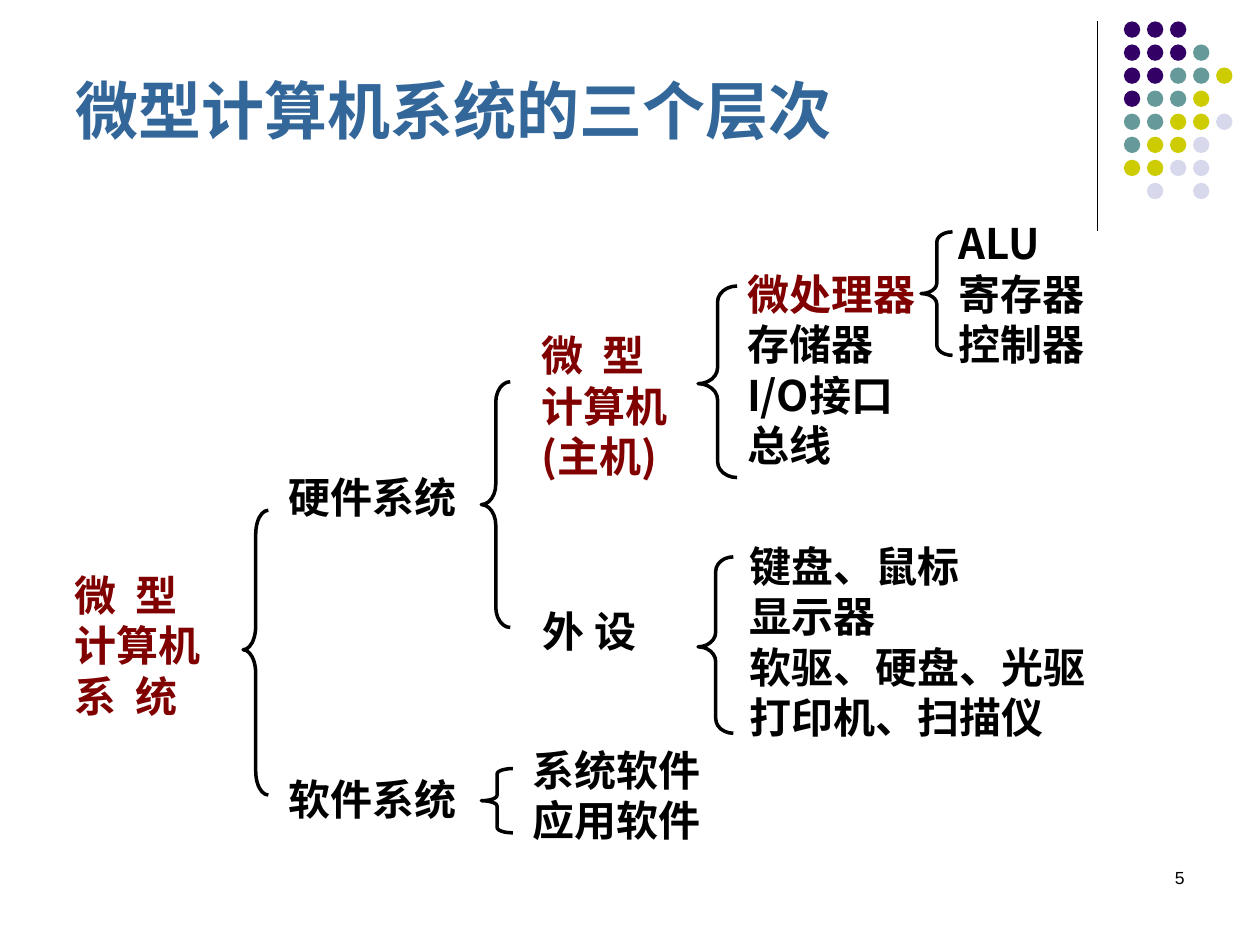
"""Builds the slide on the three levels of a microcomputer system."""
from dataclasses import dataclass

from pptx import Presentation
from pptx.dml.color import RGBColor
from pptx.enum.shapes import MSO_CONNECTOR, MSO_SHAPE
from pptx.enum.text import MSO_ANCHOR, MSO_AUTO_SIZE, PP_ALIGN
from pptx.oxml.ns import qn
from pptx.util import Inches, Pt

LEFT, RIGHT, JUST = PP_ALIGN.LEFT, PP_ALIGN.RIGHT, PP_ALIGN.JUSTIFY
TOP, BOTTOM = MSO_ANCHOR.TOP, MSO_ANCHOR.BOTTOM
FIXED = MSO_AUTO_SIZE.NONE
OVAL, BRACE = MSO_SHAPE.OVAL, MSO_SHAPE.LEFT_BRACE
STRAIGHT = MSO_CONNECTOR.STRAIGHT
HUES = {"black": "000000", "red": "800000", "blue": "336699",
        "P": "330066", "T": "669999", "Y": "CCCC00", "L": "D8D8EC"}
SANS, CJK = "Arial", "Noto Sans CJK SC"
COLS, ROWS = 1000, 750
CELL = Inches(0.01)
PITCH = 1.2
DOTS = ("PPP", "PPPT", "PPTTY", "PTTY", "TTYYL", "TYYL", "YYLL", " L L")
DOT, STEP = 13, 18.3


@dataclass(frozen=True)
class Box:
    col: float
    row: float
    wide: float
    high: float

    def place(self) -> tuple[int, ...]:
        return tuple(round(n * CELL) for n in (self.col, self.row, self.wide, self.high))


@dataclass(frozen=True)
class Line:
    words: str
    hue: str = "black"
    skip: int = 0


@dataclass(frozen=True)
class Label:
    box: Box
    lines: tuple[Line, ...]
    pad: bool = True
    wrap: bool = True
    align: PP_ALIGN = JUST
    size: int = 24
    bold: bool = True
    font: str = CJK
    anchor: MSO_ANCHOR = TOP


@dataclass(frozen=True)
class Brace:
    box: Box
    waist: float = 0.5


def lines(*words: str, hue: str = "black") -> tuple[Line, ...]:
    return tuple(Line(word, hue) for word in words)


TITLE = Label(Box(50, 47, 825, 75), lines("微型计算机系统的三个层次", hue="blue"),
              align=LEFT, size=36, font=SANS, anchor=BOTTOM)
LABELS = (
    Label(Box(593, 213, 150, 165),
          (Line("微处理器", "red"), *lines("存储器", "I/O接口", "总线")), pad=False),
    Label(Box(229, 374, 142, 291), (Line("硬件系统"), Line("软件系统", skip=5)), pad=False),
    Label(Box(59, 452, 122, 118), lines("微  型", "计算机", "系  统", hue="red"), pad=False),
    Label(Box(420, 257, 144, 94), lines("微  型", "计算机", "(主机)", hue="red")),
    Label(Box(421, 476, 114, 49), lines("外 设")),
    Label(Box(751, 168, 188, 135), lines("ALU", "寄存器", "控制器")),
    Label(Box(585, 424, 303, 170),
          lines("键盘、鼠标", "显示器", "软驱、硬盘、光驱", "打印机、扫描仪"),
          wrap=False, align=LEFT),
    Label(Box(413, 586, 166, 101), lines("系统软件", "应用软件")),
    Label(Box(717, 683, 233, 50), lines("5"), align=RIGHT, size=10, bold=False, font=SANS),
)
BRACES = (
    Brace(Box(193, 405, 20, 226), 0.49),
    Brace(Box(382, 610, 25, 51)),
    Brace(Box(554, 227, 31, 152), 0.51),
    Brace(Box(382, 303, 23, 195)),
    Brace(Box(731, 184, 25, 98)),
    Brace(Box(554, 442, 28, 140), 0.51),
)


def tint(hue: str) -> RGBColor:
    return RGBColor.from_string(HUES[hue])


def apply(thing, form: dict) -> None:
    for key, val in form.items():
        setattr(thing, key, val)


def fill_text(shape, label: Label) -> None:
    side, edge = (Inches(0.1), Inches(0.05)) if label.pad else (0, 0)
    left, top, width, height = label.box.place()
    apply(shape, {"left": left, "top": top, "width": width, "height": height})
    frame = shape.text_frame
    apply(frame, {"auto_size": FIXED, "word_wrap": label.wrap,
                  "vertical_anchor": label.anchor,
                  "margin_left": side, "margin_right": side,
                  "margin_top": edge, "margin_bottom": edge})
    for num, line in enumerate(label.lines):
        para = frame.add_paragraph() if num else frame.paragraphs[0]
        gap = Pt(label.size * PITCH)
        apply(para, {"alignment": label.align, "line_spacing": gap,
                     "space_before": gap * line.skip, "space_after": 0})
        run = para.add_run()
        run.text = line.words
        apply(run.font, {"name": label.font, "size": Pt(label.size), "bold": label.bold})
        run.font.color.rgb = tint(line.hue)
        east = run.font._element.makeelement(qn("a:ea"), {"typeface": CJK})
        run.font._element.find(qn("a:latin")).addnext(east)


def draw_brace(shapes, brace: Brace) -> None:
    box = brace.box
    shape = shapes.add_shape(BRACE, *box.place())
    shape.shadow.inherit = False
    shape.fill.background()
    shape.line.color.rgb = tint("black")
    shape.line.width = Pt(2)
    shape.adjustments[0] = box.high / 12 / min(box.wide, box.high)
    shape.adjustments[1] = brace.waist


def draw_dots(shapes) -> None:
    for row, marks in enumerate(DOTS):
        for col, mark in enumerate(marks):
            if mark == " ":
                continue
            box = Box(892 + col * STEP, 17 + row * STEP, DOT, DOT)
            dot = shapes.add_shape(OVAL, *box.place())
            dot.shadow.inherit = False
            dot.fill.solid()
            dot.fill.fore_color.rgb = tint(mark)
            dot.line.fill.background()


def draw_rule(shapes) -> None:
    rule = shapes.add_connector(STRAIGHT, 871 * CELL, 17 * CELL, 871 * CELL, 183 * CELL)
    rule.line.color.rgb = tint("black")
    rule.line.width = Pt(0.75)
    props = rule._element.spPr
    props.append(props.makeelement(qn("a:effectLst"), {}))


def build() -> None:
    deck = Presentation()
    apply(deck, {"slide_width": COLS * CELL, "slide_height": ROWS * CELL})
    slide = deck.slides.add_slide(deck.slide_layouts[5])
    shapes = slide.shapes
    draw_rule(shapes)
    draw_dots(shapes)
    fill_text(shapes.title, TITLE)
    for brace in BRACES:
        draw_brace(shapes, brace)
    for label in LABELS:
        fill_text(shapes.add_textbox(*label.box.place()), label)
    deck.save("out.pptx")


build()
